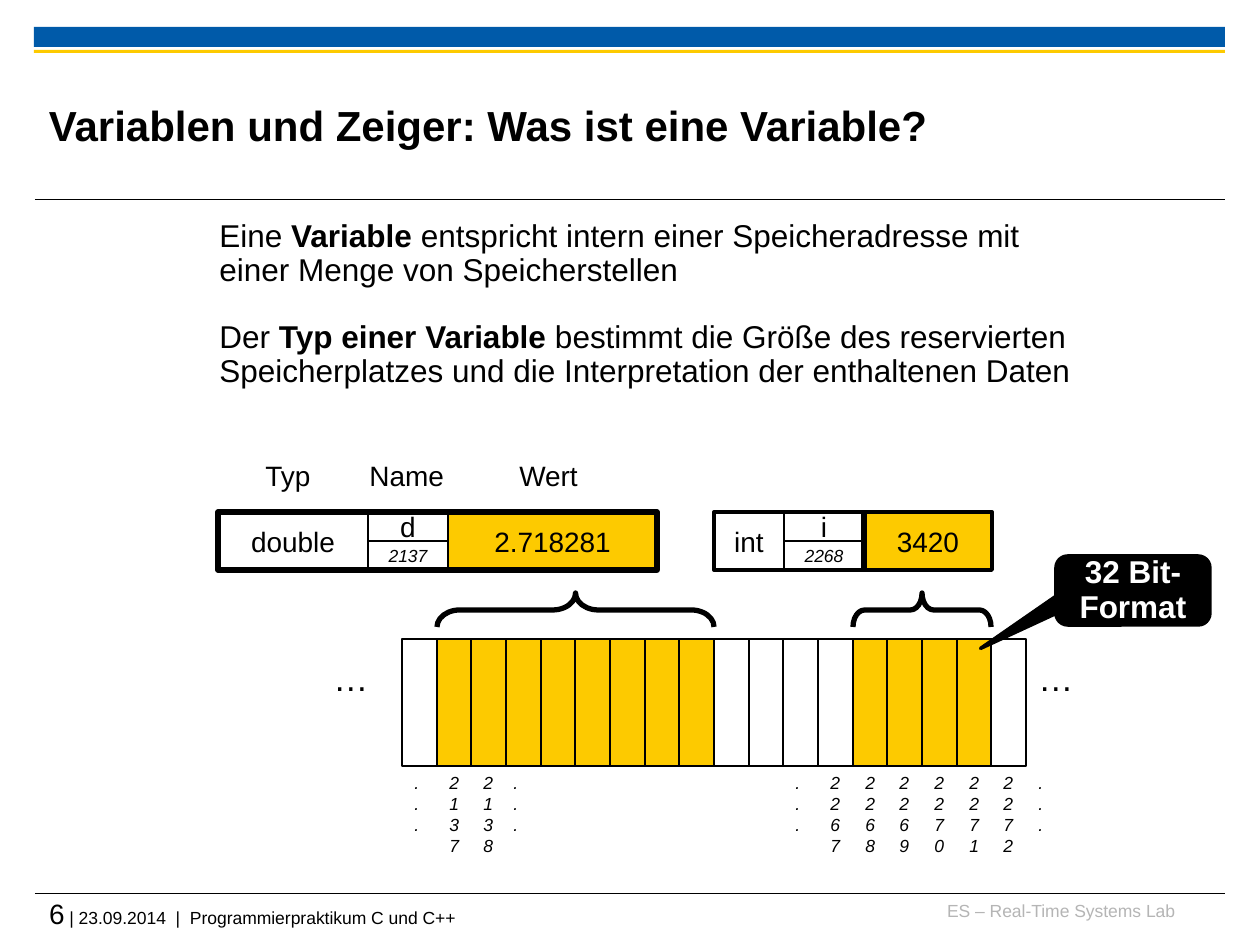
from lxml.etree import SubElement
from pptx import Presentation
from pptx.dml.color import RGBColor
from pptx.enum.shapes import MSO_CONNECTOR as Connector, MSO_SHAPE as Shape
from pptx.enum.text import MSO_ANCHOR as Anchor, MSO_AUTO_SIZE as AutoSize, PP_ALIGN as Align
from pptx.oxml.ns import qn
from pptx.util import Emu, Pt

PX_PER_INCH = 126
BLACK, WHITE, BLUE, YELLOW, GRAY = "000000", "FFFFFF", "005AA9", "FDCA00", "B5B5B5"


def px(length):
    return Emu(round(length * 914400 / PX_PER_INCH))


def rgb(color):
    return RGBColor.from_string(color)


def write(frame, paragraphs, size=16, color=BLACK, bold=False, italic=False,
          align=Align.LEFT, anchor=Anchor.TOP, wrap=False, inset=None,
          indent=0, line_spacing=None, gap=0):
    """Fill a frame; a paragraph is a string or a list of (text, run format)."""
    frame.word_wrap = wrap
    frame.vertical_anchor = anchor
    if inset is not None:
        frame.margin_left = frame.margin_right = px(inset)
        frame.margin_top = frame.margin_bottom = px(inset)
    for index, content in enumerate(paragraphs):
        paragraph = frame.add_paragraph() if index else frame.paragraphs[0]
        if indent:
            paragraph._p.get_or_add_pPr().set("marL", str(px(indent)))
        paragraph.alignment = align
        if line_spacing:
            paragraph.line_spacing = line_spacing
        if index and gap:
            paragraph.space_before = Pt(gap)
        runs = [(content, {})] if isinstance(content, str) else content
        for text, special in runs:
            run = paragraph.add_run()
            run.text = text
            font = run.font
            font.name = "Arial"
            font.size = Pt(special.get("size", size))
            font.bold = special.get("bold", bold)
            font.italic = italic
            font.color.rgb = rgb(color)


class SlideBuilder:
    def __init__(self, slide):
        self.shapes = slide.shapes

    def shape(self, kind, x, y, w, h, fill=None, line=None, adjust=(), text=None, **style):
        shape = self.shapes.add_shape(kind, px(x), px(y), px(w), px(h))
        shape.shadow.inherit = False
        for index, value in enumerate(adjust):
            shape.adjustments[index] = value
        if fill:
            shape.fill.solid()
            shape.fill.fore_color.rgb = rgb(fill)
        else:
            shape.fill.background()
        if line:
            shape.line.color.rgb = rgb(BLACK)
            shape.line.width = Pt(line)
        else:
            shape.line.fill.background()
        if text:
            write(shape.text_frame, [text], align=Align.CENTER, anchor=Anchor.MIDDLE, **style)
        return shape

    def box(self, x, y, w, h, fill=None, line=None, text=None, **style):
        return self.shape(Shape.RECTANGLE, x, y, w, h, fill, line, text=text, **style)

    def text(self, x, y, w, h, *paragraphs, **style):
        frame = self.shapes.add_textbox(px(x), px(y), px(w), px(h)).text_frame
        write(frame, paragraphs, **style)
        if not style.get("wrap"):
            frame.auto_size = AutoSize.SHAPE_TO_FIT_TEXT

    def line(self, x1, y1, x2, y2, width):
        line = self.shapes.add_connector(Connector.STRAIGHT, px(x1), px(y1), px(x2), px(y2))
        line.line.color.rgb = rgb(BLACK)
        line.line.width = Pt(width)
        SubElement(line._element.spPr, qn("a:effectLst"))

    def brace_over(self, left, right, top, height, curve):
        """Left brace turned upright so that it spans left to right."""
        span = right - left
        brace = self.shape(Shape.LEFT_BRACE, (left + right - height) / 2,
                           top + (height - span) / 2, height, span,
                           line=3, adjust=(curve, 0.5))
        brace.rotation = 90

    def address(self, x, digits):
        """Memory address written downwards, one character a line."""
        self.text(x, 766, 35, 97, *digits, size=10, italic=True)


def main():
    presentation = Presentation()
    presentation.slide_width, presentation.slide_height = px(1260), px(945)
    page = SlideBuilder(presentation.slides.add_slide(presentation.slide_layouts[6]))

    # Header and footer
    page.box(34, 27, 1191, 20, fill=BLUE)
    page.box(34, 50, 1191, 3, fill=YELLOW)
    for rule_y in (200, 894):
        page.line(35, rule_y, 1225, rule_y, 0.6)
    page.text(927, 900, 248, 32, "ES – Real-Time Systems Lab", size=10, color=GRAY,
              align=Align.RIGHT, wrap=True, inset=0)
    page.text(49, 897, 1176, 42,
              [("6", {"size": 16}), (" | 23.09.2014  |  Programmierpraktikum C und C++", {})],
              size=10, wrap=True, inset=0)

    # Title and explanation
    page.text(49, 67, 948, 116, "Variablen und Zeiger: Was ist eine Variable?",
              size=24, bold=True, anchor=Anchor.MIDDLE, wrap=True, inset=0)
    strong = {"bold": True}
    page.text(144, 214, 963, 219,
              [("Eine", {}), (" Variable ", strong),
               ("entspricht intern einer Speicheradresse mit einer Menge von "
                "Speicherstellen", {})],
              [("Der ", {}), ("Typ einer Variable ", strong),
               ("bestimmt die Größe des reservierten Speicherplatzes und die "
                "Interpretation der enthaltenen Daten", {})],
              size=18, wrap=True, indent=63, line_spacing=0.9, gap=18.6)

    # Column captions
    for x, width, caption in ((253, 83, "Typ"), (357, 117, "Name"), (507, 98, "Wert")):
        page.text(x, 452, width, 54, caption)

    # Variables: type, name over address, value
    variables = (
        ("double", "d", "2137", "2.718281", (218, 368, 448, 657), 1, 3),
        ("int", "i", "2268", "3420", (714, 784, 864, 992), 0.25, 2.25),
    )
    for kind, name, address, value, edges, value_line, frame_line in variables:
        left, name_x, value_x, right = edges
        page.box(left, 512, name_x - left, 58, WHITE, 0.75, kind)
        page.box(value_x, 512, right - value_x, 58, YELLOW, value_line, value)
        page.box(name_x, 512, value_x - name_x, 29, WHITE, 0.75, name)
        page.box(name_x, 541, value_x - name_x, 29, WHITE, 0.75, address,
                 size=10, italic=True)
        page.box(left, 512, right - left, 58, line=frame_line)
    page.line(864, 512, 864, 570, 3)

    # Memory cells
    cell_count, memory_left, memory_width = 18, 402, 624
    cell_edges = [memory_left + round(i * memory_width / cell_count)
                  for i in range(cell_count + 1)]
    double_cells, int_cells = range(1, 9), range(13, 17)
    for i, (left, right) in enumerate(zip(cell_edges, cell_edges[1:])):
        used = i in double_cells or i in int_cells
        page.box(left, 639, right - left, 127, YELLOW if used else WHITE, 0.75)
    for x in (321, 1026):
        page.text(x, 650, 71, 64, "…", size=20)

    # Braces linking variables to their cells
    for cells, curve in ((double_cells, 0.67), (int_cells, 0.34)):
        page.brace_over(cell_edges[cells.start], cell_edges[cells.stop], 593, 34, curve)

    # Addresses below the cells
    addresses = {0: "...", 1: "2137", 2: "2138", 11: "...", 18: "..."}
    addresses.update({12 + i: str(2267 + i) for i in range(6)})
    for cell, digits in addresses.items():
        page.address(cell_edges[cell], digits)
    page.address(501, "...")

    # Callout
    page.shape(Shape.ROUNDED_RECTANGULAR_CALLOUT, 1056, 556, 154, 69, BLACK, 2,
               adjust=(-0.99, 0.84, 0.17), text="32 Bit-Format", size=18,
               color=WHITE, bold=True, wrap=True, line_spacing=0.93)

    presentation.save("out.pptx")


if __name__ == "__main__":
    main()
